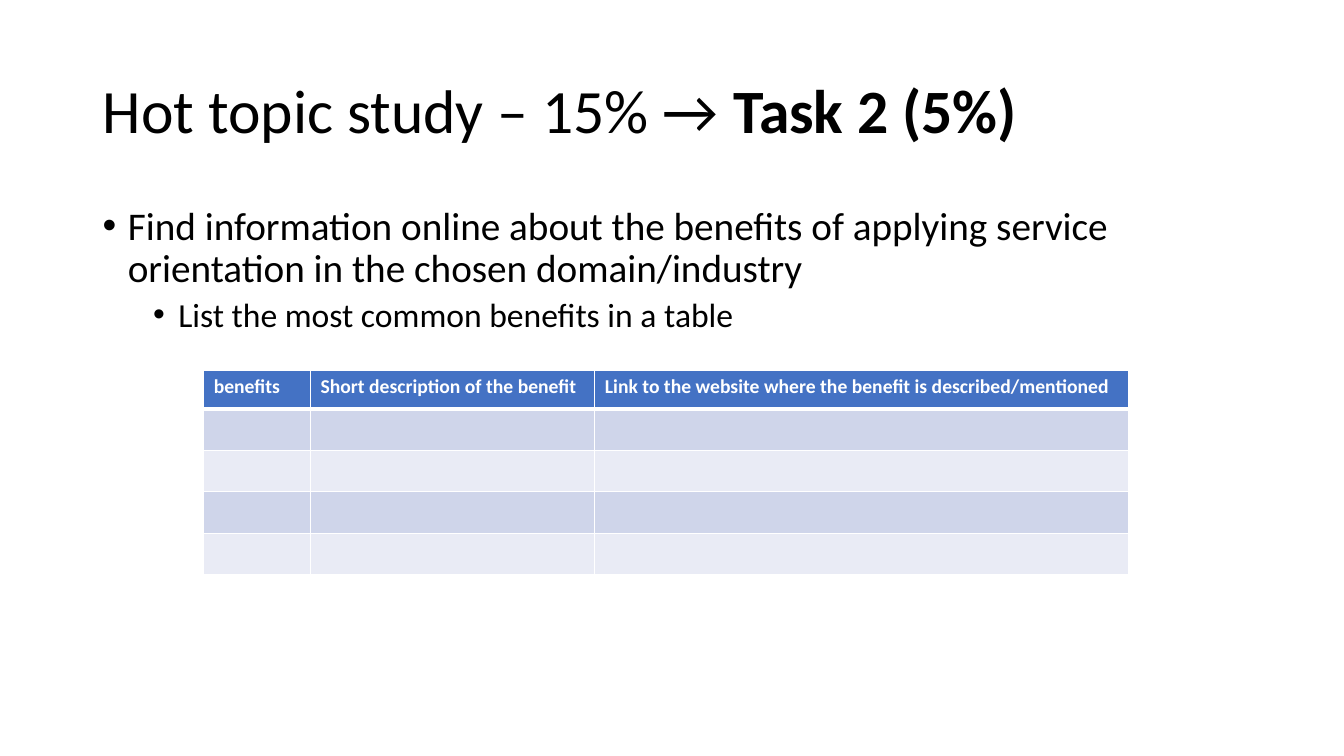
from dataclasses import dataclass

from lxml import etree
from pptx import Presentation
from pptx import util as u
from pptx.dml.color import RGBColor
from pptx.enum import text
from pptx.oxml import ns

TITLE = [("Hot topic study – 15% → ", False), ("Task 2 (5%)", True)]
BULLETS = [
    ("Find information online about the benefits of applying service "
     "orientation in the chosen domain/industry", 0),
    ("List the most common benefits in a table", 1),
]
HEADERS = [
    "benefits",
    "Short description of the benefit",
    "Link to the website where the benefit is described/mentioned",
]
EMPTY_ROWS = 4

PX = 9144
SLIDE_SIZE = (1333, 750)
TITLE_BOX = (92, 40, 1150, 145)
BODY_BOX = (92, 200, 1150, 476)
TABLE_ORIGIN = (202, 367)
COLUMN_WIDTHS = [106, 282, 529]
HEADER_HEIGHT, ROW_HEIGHT = 39, 41
HANGING_INDENT, LEVEL_STEP = 25, 50


@dataclass(frozen=True)
class Theme:
    font: str = "Calibri"
    ink: str = "000000"
    white: str = "FFFFFF"
    header: str = "4472C4"
    bands: tuple = ("CFD5EA", "E9EBF5")
    title_size: int = 44
    bullet_sizes: tuple = (28, 24)
    bullet_gaps: tuple = (10, 5)
    header_size: int = 14
    line_spacing: float = 0.9
    border: int = 1
    header_border: int = 3


THEME = Theme()


def px(*lengths):
    return [u.Emu(length * PX) for length in lengths]


def add_text(paragraph, content, size, color=THEME.ink, bold=False):
    run = paragraph.add_run()
    run.text = content
    run.font.name = THEME.font
    run.font.size = u.Pt(size)
    run.font.bold = bold
    run.font.color.rgb = RGBColor.from_string(color)


def set_bullet(paragraph, level):
    properties = paragraph._p.get_or_add_pPr()
    properties.set("marL", str((HANGING_INDENT + level * LEVEL_STEP) * PX))
    properties.set("indent", str(-HANGING_INDENT * PX))
    font = etree.SubElement(properties, ns.qn("a:buFont"))
    font.set("typeface", "Arial")
    etree.SubElement(properties, ns.qn("a:buChar")).set("char", "•")


def style_cell(cell, fill, bottom=THEME.border):
    properties = cell._tc.get_or_add_tcPr()
    widths = dict(L=THEME.border, R=THEME.border, T=THEME.border, B=bottom)
    for side, width in widths.items():
        line = etree.SubElement(properties, ns.qn(f"a:ln{side}"), w=str(u.Pt(width)))
        solid = etree.SubElement(line, ns.qn("a:solidFill"))
        etree.SubElement(solid, ns.qn("a:srgbClr"), val=THEME.white)
    cell.fill.solid()
    cell.fill.fore_color.rgb = RGBColor.from_string(fill)


def add_title(slide):
    title = slide.shapes.title
    title.left, title.top, title.width, title.height = px(*TITLE_BOX)
    frame = title.text_frame
    frame.word_wrap = True
    frame.vertical_anchor = text.MSO_ANCHOR.MIDDLE
    paragraph = frame.paragraphs[0]
    paragraph.alignment = text.PP_ALIGN.LEFT
    paragraph.line_spacing = THEME.line_spacing
    for content, bold in TITLE:
        add_text(paragraph, content, THEME.title_size, bold=bold)


def add_bullets(slide):
    frame = slide.shapes.add_textbox(*px(*BODY_BOX)).text_frame
    frame.word_wrap = True
    for index, (content, level) in enumerate(BULLETS):
        paragraph = frame.add_paragraph() if index else frame.paragraphs[0]
        paragraph.level = level
        paragraph.line_spacing = THEME.line_spacing
        paragraph.space_before = u.Pt(THEME.bullet_gaps[level] if index else 0)
        set_bullet(paragraph, level)
        add_text(paragraph, content, THEME.bullet_sizes[level])


def add_benefits_table(slide):
    heights = [HEADER_HEIGHT] + [ROW_HEIGHT] * EMPTY_ROWS
    frame = slide.shapes.add_table(
        len(heights), len(HEADERS),
        *px(*TABLE_ORIGIN, sum(COLUMN_WIDTHS), sum(heights)))
    table = frame.table
    for column, width in zip(table.columns, px(*COLUMN_WIDTHS)):
        column.width = width
    for row, height in zip(table.rows, px(*heights)):
        row.height = height
    for cell, header in zip(table.rows[0].cells, HEADERS):
        style_cell(cell, THEME.header, bottom=THEME.header_border)
        add_text(cell.text_frame.paragraphs[0], header, THEME.header_size,
                 color=THEME.white, bold=True)
    for index in range(EMPTY_ROWS):
        for cell in table.rows[index + 1].cells:
            style_cell(cell, THEME.bands[index % len(THEME.bands)])


def main():
    presentation = Presentation()
    presentation.slide_width, presentation.slide_height = px(*SLIDE_SIZE)
    slide = presentation.slides.add_slide(presentation.slide_layouts[5])
    add_title(slide)
    add_bullets(slide)
    add_benefits_table(slide)
    presentation.save("out.pptx")


if __name__ == "__main__":
    main()
